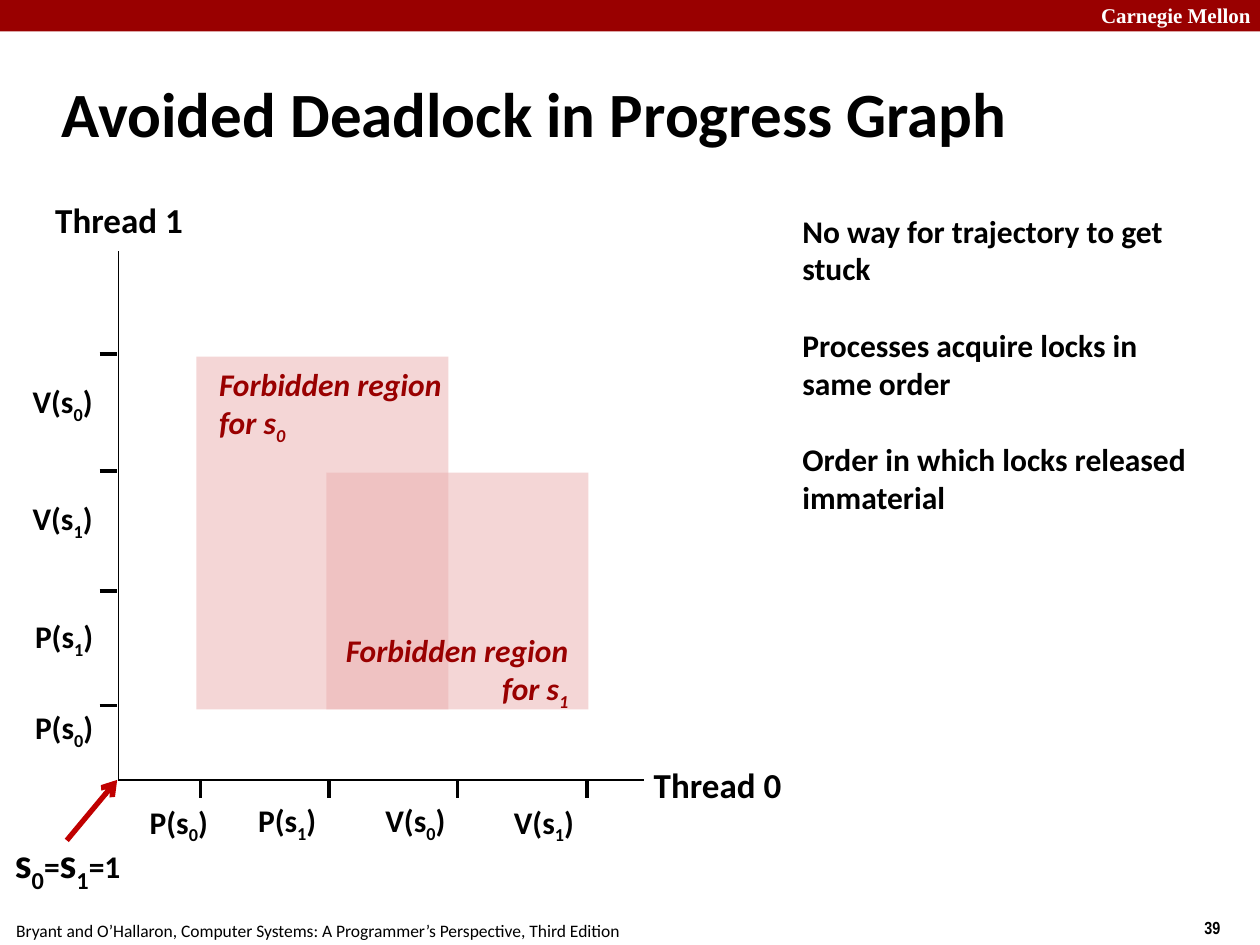
from dataclasses import dataclass
from typing import NamedTuple

from lxml import etree
from pptx import Presentation
from pptx import util as u
from pptx.dml.color import RGBColor
from pptx.enum import shapes, text
from pptx.oxml import ns


@dataclass(frozen=True)
class Theme:
    black: str = "000000"
    white: str = "FFFFFF"
    crimson: str = "990000"
    arrow: str = "C00000"
    region: str = "EBAFAF"
    font: str = "Calibri"
    title: int = 36
    symbol: int = 24
    axis: int = 20
    body: int = 18
    banner: int = 12
    footer: int = 10


class Tick(NamedTuple):
    pos: float    # tick position along its axis
    label: str    # "_" makes the next character a subscript
    left: float
    top: float
    width: float


class Region(NamedTuple):
    box: tuple
    lines: list
    text_box: tuple
    align: text.PP_ALIGN


T = Theme()
LEFT, CENTER, RIGHT = text.PP_ALIGN.LEFT, text.PP_ALIGN.CENTER, text.PP_ALIGN.RIGHT
TOP, MIDDLE = text.MSO_ANCHOR.TOP, text.MSO_ANCHOR.MIDDLE

ORIGIN_X, ORIGIN_Y = 0.94, 6.19
AXIS_RIGHT, AXIS_TOP = 5.11, 1.99
TICK = 0.14
LABEL_H = 0.44

X_TICKS = [
    Tick(1.59, "P(s_0)", 1.09, 6.32, 0.66),
    Tick(2.61, "P(s_1)", 1.95, 6.31, 0.66),
    Tick(3.63, "V(s_0)", 2.96, 6.31, 0.69),
    Tick(4.66, "V(s_1)", 3.98, 6.32, 0.68),
]
Y_TICKS = [
    Tick(5.6, "P(s_0)", 0.18, 5.57, 0.66),
    Tick(4.69, "P(s_1)", 0.18, 4.85, 0.66),
    Tick(3.74, "V(s_1)", 0.16, 3.91, 0.68),
    Tick(2.81, "V(s_0)", 0.16, 2.98, 0.68),
]
REGIONS = [
    Region((1.56, 2.83, 2, 2.8), ["Forbidden region", "for s_0"],
           (1.64, 2.85, 1.96, 0.74), LEFT),
    Region((2.59, 3.75, 2.08, 1.88), ["Forbidden region", "for s_1"],
           (2.65, 4.96, 1.96, 0.74), RIGHT),
]
NOTES = [
    "No way for trajectory to get stuck",
    "Processes acquire locks in same order",
    "Order in which locks released immaterial",
]


def inches(box: tuple) -> list:
    return [u.Inches(v) for v in box]


def add_run(p, words: str, *, size: float, color: str, font: str,
            bold: bool, italic: bool, sub: bool = False) -> None:
    r = p.add_run()
    r.text = words
    f = r.font
    f.size, f.name, f.bold, f.italic = u.Pt(size), font, bold, italic
    f.color.rgb = RGBColor.from_string(color)
    if sub:
        r.font._element.set("baseline", "-25000")


def write(tf, lines: list, *, size: float = T.body, color: str = T.black,
          font: str = T.font, bold: bool = True, italic: bool = False,
          align=LEFT, anchor=TOP, wrap: bool = False, inset: float = 0.05,
          gap: float = 0) -> None:
    """Fill a frame; each line is a string or a list of (string, size) pairs."""
    tf.word_wrap, tf.vertical_anchor = wrap, anchor
    tf.auto_size = text.MSO_AUTO_SIZE.NONE
    tf.margin_left = tf.margin_right = u.Inches(0.1)
    tf.margin_top = tf.margin_bottom = u.Inches(inset)
    for i, line in enumerate(lines):
        p = tf.add_paragraph() if i else tf.paragraphs[0]
        p.alignment = align
        if i and gap:
            p.space_before = u.Pt(gap)
        for words, pt in [(line, size)] if isinstance(line, str) else line:
            fmt = dict(size=pt, color=color, font=font, bold=bold, italic=italic)
            plain, *marked = words.split("_")
            add_run(p, plain, **fmt)
            for part in marked:
                add_run(p, part[0], sub=True, **fmt)
                if part[1:]:
                    add_run(p, part[1:], **fmt)


def add_text(s, box: tuple, lines: list, **fmt) -> None:
    write(s.shapes.add_textbox(*inches(box)).text_frame, lines, **fmt)


def add_rect(s, box: tuple, color: str, alpha: int = 100) -> None:
    sp = s.shapes.add_shape(shapes.MSO_SHAPE.RECTANGLE, *inches(box))
    sp.shadow.inherit = False
    sp.line.fill.background()
    sp.fill.solid()
    sp.fill.fore_color.rgb = RGBColor.from_string(color)
    if alpha < 100:
        clr = sp._element.spPr.find(".//" + ns.qn("a:srgbClr"))
        etree.SubElement(clr, ns.qn("a:alpha"), val=str(alpha * 1000))


def add_line(s, start: tuple, end: tuple, width: float,
             color: str = T.black, arrow: bool = False) -> None:
    ln = s.shapes.add_connector(shapes.MSO_CONNECTOR.STRAIGHT,
                                *inches(start), *inches(end))
    ln.line.width = u.Pt(width)
    ln.line.color.rgb = RGBColor.from_string(color)
    if arrow:
        etree.SubElement(ln.line._get_or_add_ln(), ns.qn("a:tailEnd"), type="arrow")
    etree.SubElement(ln._element.spPr, ns.qn("a:effectLst"))


def add_label(s, tick: Tick) -> None:
    add_text(s, (tick.left, tick.top, tick.width, LABEL_H), [tick.label], anchor=MIDDLE)


def main() -> None:
    prs = Presentation()
    prs.slide_width, prs.slide_height = u.Inches(10), u.Inches(7.5)
    s = prs.slides.add_slide(prs.slide_layouts[5])

    # Banner and footer
    add_rect(s, (0, 0, 10, 0.25), T.crimson)
    add_text(s, (8.64, -0.03, 1.43, 0.3), ["Carnegie Mellon"], size=T.banner,
             font="Times New Roman", color=T.white, wrap=True)
    add_text(s, (9.46, 7.23, 0.75, 0.27), ["39"], size=T.footer, font="Arial Narrow")
    add_text(s, (0.03, 7.25, 4.98, 0.27),
             ["Bryant and O’Hallaron, Computer Systems: "
              "A Programmer’s Perspective, Third Edition"],
             size=T.footer, bold=False)

    # Title
    title = s.shapes.title
    title.left, title.top, title.width, title.height = inches((0.39, 0.48, 8.3, 0.83))
    write(title.text_frame, ["Avoided Deadlock in Progress Graph"],
          size=T.title, anchor=MIDDLE, wrap=True)

    # Axes
    origin = (ORIGIN_X, ORIGIN_Y)
    add_line(s, origin, (AXIS_RIGHT, ORIGIN_Y), 1)
    add_line(s, origin, (ORIGIN_X, AXIS_TOP), 1)
    for name, left, top in [("Thread 0", 5.09, 6.01), ("Thread 1", 0.34, 1.53)]:
        add_text(s, (left, top, 1.21, 0.43), [name], size=T.axis,
                 align=CENTER, anchor=MIDDLE)

    # Ticks and their labels
    for tick in X_TICKS:
        add_line(s, (tick.pos, ORIGIN_Y), (tick.pos, ORIGIN_Y + TICK), 2)
        add_label(s, tick)
    for tick in Y_TICKS:
        add_line(s, (ORIGIN_X - 0.01 - TICK, tick.pos), (ORIGIN_X - 0.01, tick.pos), 2)
        add_label(s, tick)

    # Forbidden regions, captions above both fills
    for region in REGIONS:
        add_rect(s, region.box, T.region, alpha=50)
    for region in REGIONS:
        add_text(s, region.text_box, region.lines, color=T.crimson,
                 italic=True, align=region.align)

    # Initial semaphore values
    add_text(s, (0.02, 6.64, 1.04, 0.46),
             [[("s_0", T.symbol), ("=", T.body), ("s_1", T.symbol), ("=1", T.body)]],
             anchor=MIDDLE, inset=0)
    add_line(s, (0.53, 6.67), (0.93, ORIGIN_Y), 3, T.arrow, arrow=True)

    # Remarks, one blank line's height apart
    add_text(s, (6.27, 1.68, 3.4, 2.4), NOTES, wrap=True, inset=0, gap=22)

    prs.save("out.pptx")


if __name__ == "__main__":
    main()
